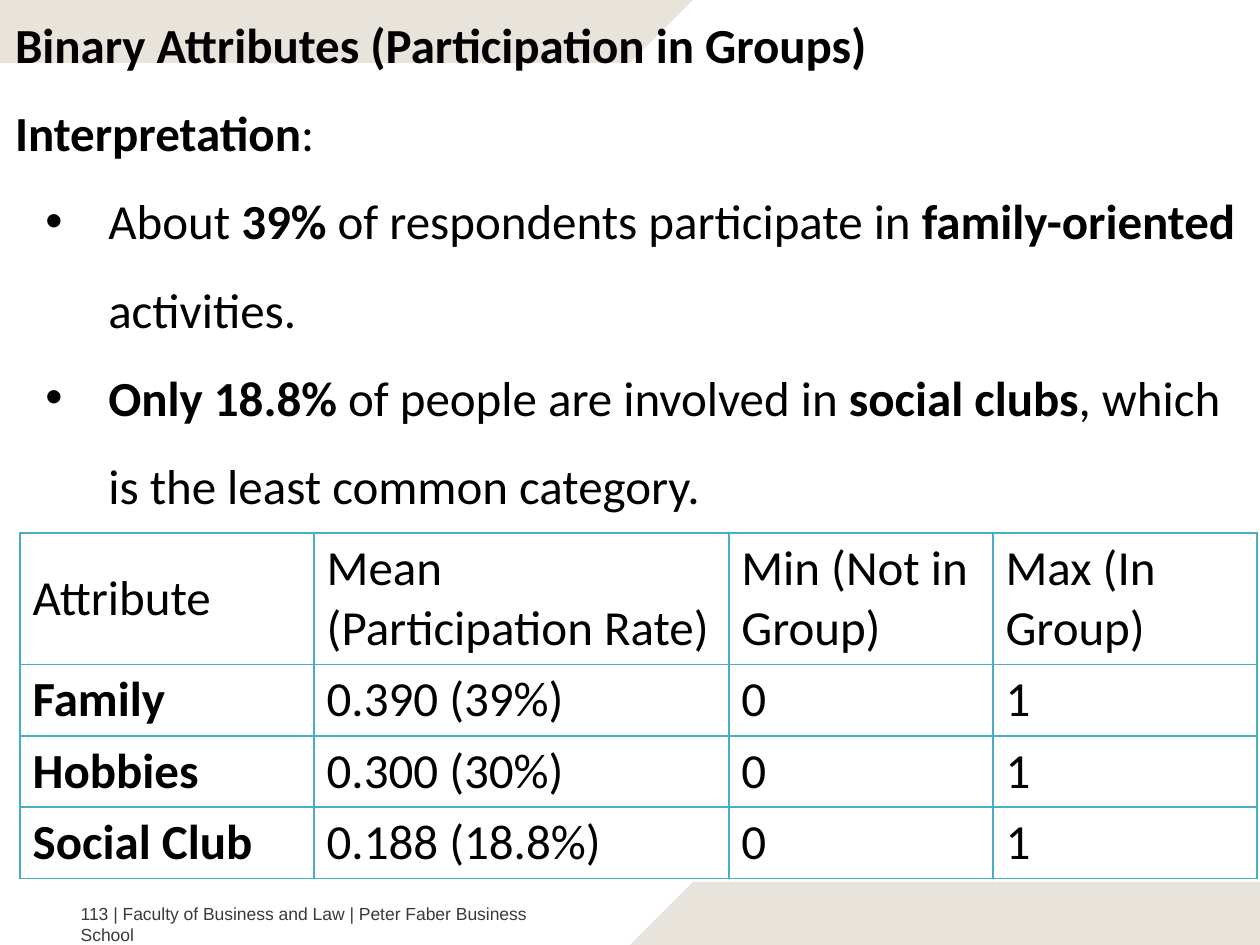
from lxml import etree
from pptx import Presentation
from pptx.dml.color import RGBColor as RGB
from pptx.enum.text import MSO_ANCHOR as Anchor, MSO_AUTO_SIZE as AutoSize, PP_ALIGN as Align
from pptx.oxml.ns import qn
from pptx.util import Pt

# Content: each run is (text, bold)
HEADING = [("Binary Attributes (Participation in Groups)", True)]
INTERPRETATION = [("Interpretation", True), (":", False)]
FINDINGS = [
    [("About ", False), ("39%", True), (" of respondents participate in ", False),
     ("family-oriented", True), (" activities.", False)],
    [("Only 18.8%", True), (" of people are involved in ", False),
     ("social clubs", True), (", which is the least common category.", False)],
]
PARTICIPATION = [
    ("Attribute", "Mean (Participation Rate)", "Min (Not in Group)", "Max (In Group)"),
    ("Family", "0.390 (39%)", "0", "1"),
    ("Hobbies", "0.300 (30%)", "0", "1"),
    ("Social Club", "0.188 (18.8%)", "0", "1"),
]
FOOTER = "113 | Faculty of Business and Law | Peter Faber Business School"

# Theme and layout, in points
THEME = {
    "font": "Calibri", "size": 28, "text": "000000",
    "footer_font": "Arial", "footer_size": 10, "footer_text": "3D3935",
    "band": "E8E3DB", "cell": "FFFFFF", "border": "4BACC6", "border_width": 1,
}
WIDTH, HEIGHT = 720, 540
BAND_HEIGHT, BAND_SLANT_X = 36, 396
TEXT_LEFT, TEXT_TOP, TEXT_WIDTH, LINE_PITCH, BODY_LINES = 1.4, -8.6, 718.6, 50.4, 5
HANG_LEFT, HANG_FIRST = 53.3, -36
TABLE_LEFT, TABLE_TOP = 11.5, 304.6
COLUMNS = (168, 237, 151, 151)
ROWS = (75, 40.8, 40.8, 40.8)

BODY_FONT = {"name": THEME["font"], "size": Pt(THEME["size"])}
FOOTER_FONT = {"name": THEME["footer_font"], "size": Pt(THEME["footer_size"])}
FRAME = {"word_wrap": True, "auto_size": AutoSize.NONE, "vertical_anchor": Anchor.TOP,
         "margin_left": Pt(7.2), "margin_right": Pt(7.2),
         "margin_top": 0, "margin_bottom": 0}
PARAGRAPH = {"line_spacing": 1.5, "space_before": Pt(0), "space_after": Pt(0),
             "alignment": Align.LEFT}


def apply(target, values):
    for name, value in values.items():
        setattr(target, name, value)


def place(shape, left, top, width, height):
    apply(shape, {"left": Pt(left), "top": Pt(top), "width": Pt(width), "height": Pt(height)})


def add_band(slide, points):
    builder = slide.shapes.build_freeform(*points[0], scale=Pt(1))
    builder.add_line_segments(points[1:], close=True)
    band = builder.convert_to_shape()
    band.shadow.inherit = False
    band.fill.solid()
    band.fill.fore_color.rgb = RGB.from_string(THEME["band"])
    band.line.fill.background()
    slide.shapes._spTree.insert(2, band._element)  # behind the text


def write_runs(paragraph, runs, font=BODY_FONT, colour=THEME["text"]):
    for text, bold in runs:
        run = paragraph.add_run()
        run.text = text
        apply(run.font, {**font, "bold": bold})
        run.font.color.rgb = RGB.from_string(colour)


def set_bullet(paragraph, bulleted):
    properties = paragraph._p.get_or_add_pPr()
    properties.set("marL", str(Pt(HANG_LEFT if bulleted else 0)))
    properties.set("indent", str(Pt(HANG_FIRST if bulleted else 0)))
    if bulleted:
        etree.SubElement(properties, qn("a:buFont"), typeface="Arial")
        etree.SubElement(properties, qn("a:buChar"), char="•")
    else:
        etree.SubElement(properties, qn("a:buNone"))


def fill_placeholder(placeholder, top, lines, paragraphs):
    place(placeholder, TEXT_LEFT, top, TEXT_WIDTH, lines * LINE_PITCH)
    frame = placeholder.text_frame
    apply(frame, FRAME)
    for index, (runs, bulleted) in enumerate(paragraphs):
        paragraph = frame.add_paragraph() if index else frame.paragraphs[0]
        set_bullet(paragraph, bulleted)
        apply(paragraph, PARAGRAPH)
        write_runs(paragraph, runs)


def format_cell(cell, text, bold):
    apply(cell, {"vertical_anchor": Anchor.MIDDLE,
                 "margin_top": Pt(3.3), "margin_bottom": Pt(3.3)})
    cell.fill.solid()
    cell.fill.fore_color.rgb = RGB.from_string(THEME["cell"])
    write_runs(cell.text_frame.paragraphs[0], [(text, bold)])
    properties = cell._tc.get_or_add_tcPr()
    for index, side in enumerate(("lnL", "lnR", "lnT", "lnB")):
        border = etree.Element(qn(f"a:{side}"), w=str(Pt(THEME["border_width"])))
        fill = etree.SubElement(border, qn("a:solidFill"))
        etree.SubElement(fill, qn("a:srgbClr"), val=THEME["border"])
        properties.insert(index, border)


def add_participation_table(slide):
    holder = slide.shapes.add_table(len(ROWS), len(COLUMNS), Pt(TABLE_LEFT), Pt(TABLE_TOP),
                                    Pt(sum(COLUMNS)), Pt(sum(ROWS)))
    table = holder.table
    apply(table, {"first_row": False, "horz_banding": False})
    for column, width in zip(table.columns, COLUMNS):
        column.width = Pt(width)
    for r, (row, height) in enumerate(zip(table.rows, ROWS)):
        row.height = Pt(height)
        for c, text in enumerate(PARTICIPATION[r]):
            format_cell(table.cell(r, c), text, bold=r > 0 and c == 0)


def add_footer(slide):
    footer = slide.shapes.add_textbox(Pt(43.2), Pt(516.2), Pt(293.8), Pt(13))
    apply(footer.text_frame, {**FRAME, "margin_left": Pt(2.9), "margin_right": Pt(10)})
    write_runs(footer.text_frame.paragraphs[0], [(FOOTER, False)],
               FOOTER_FONT, THEME["footer_text"])


def main():
    deck = Presentation()
    deck.slide_width, deck.slide_height = Pt(WIDTH), Pt(HEIGHT)
    slide = deck.slides.add_slide(deck.slide_layouts[1])

    # Slanted corner bands
    slant_end = BAND_SLANT_X - BAND_HEIGHT
    add_band(slide, [(BAND_SLANT_X, 0), (0, 0), (0, BAND_HEIGHT), (slant_end, BAND_HEIGHT)])
    add_band(slide, [(WIDTH, HEIGHT - BAND_HEIGHT), (BAND_SLANT_X, HEIGHT - BAND_HEIGHT),
                     (slant_end, HEIGHT), (WIDTH, HEIGHT)])

    # Heading and interpretation
    title, body = slide.placeholders
    fill_placeholder(title, TEXT_TOP, 1, [(HEADING, False)])
    fill_placeholder(body, TEXT_TOP + LINE_PITCH, BODY_LINES,
                     [(INTERPRETATION, False)] + [(finding, True) for finding in FINDINGS])

    # Participation rates and footer
    add_participation_table(slide)
    add_footer(slide)
    deck.save("out.pptx")


if __name__ == "__main__":
    main()
